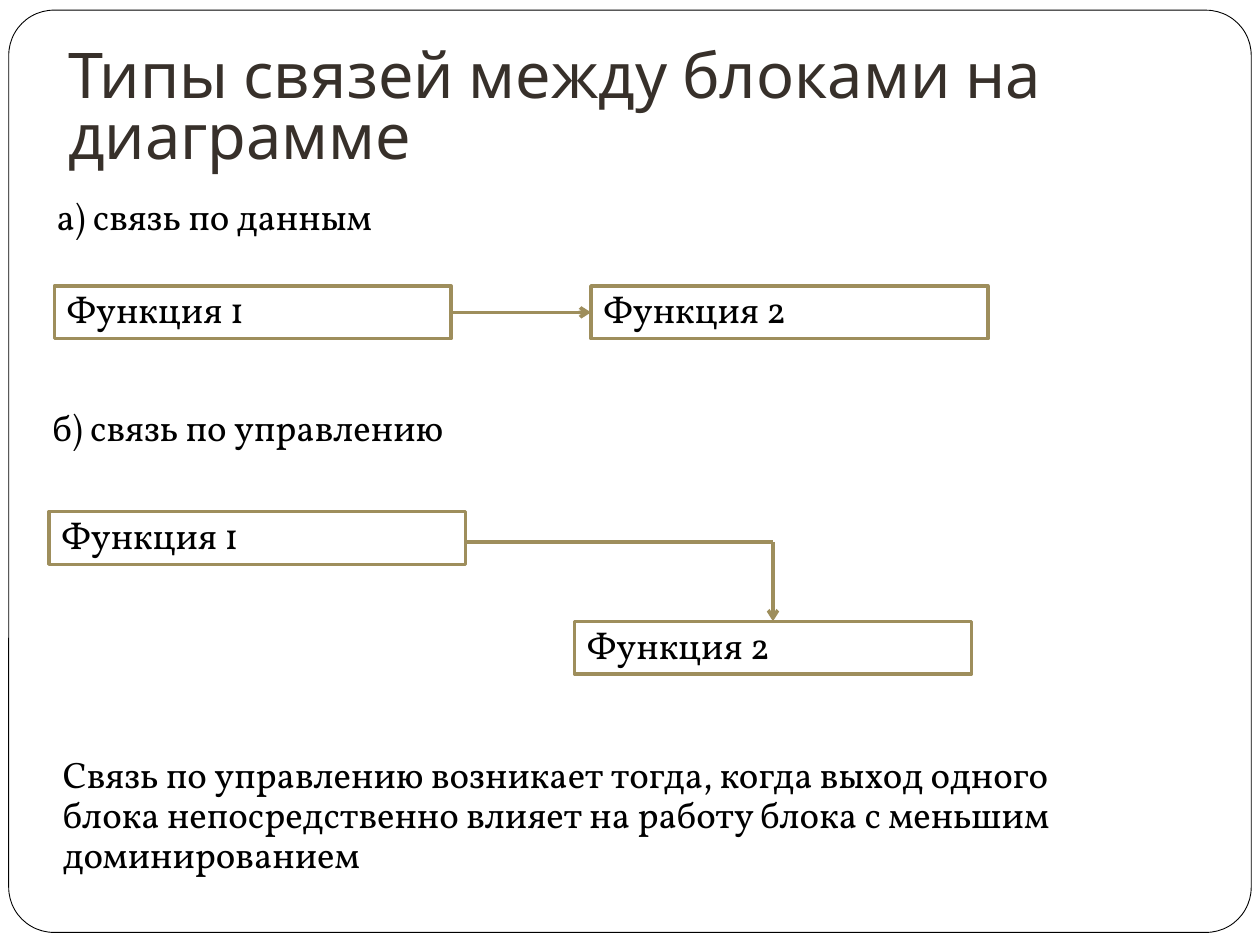
from dataclasses import dataclass

from lxml import etree
from pptx import Presentation
from pptx.dml.color import RGBColor
from pptx.enum.shapes import MSO_CONNECTOR, MSO_SHAPE
from pptx.enum.text import MSO_ANCHOR, PP_ALIGN
from pptx.oxml.ns import qn
from pptx.util import Pt


@dataclass(frozen=True)
class Theme:
    paper: RGBColor = RGBColor(0xFF, 0xFF, 0xFF)
    ink: RGBColor = RGBColor(0, 0, 0)
    title: RGBColor = RGBColor(0x37, 0x30, 0x2A)
    accent: RGBColor = RGBColor(0x9E, 0x8E, 0x5C)
    title_font: str = "Karla"
    body_font: str = "Vollkorn"
    title_size: float = 36
    body_size: float = 21
    stroke: float = 2


THEME = Theme()
ROW = 30.2  # height of a one-line box


def write(shape, text, font, size, color, spacing, anchor=MSO_ANCHOR.TOP):
    frame = shape.text_frame
    frame.word_wrap = True
    frame.vertical_anchor = anchor
    frame.text = text
    paragraph = frame.paragraphs[0]
    paragraph.alignment = PP_ALIGN.LEFT
    paragraph.line_spacing = spacing
    run = paragraph.runs[0].font
    run.name, run.size, run.color.rgb = font, Pt(size), color
    return paragraph


def write_body(shape, text):
    paragraph = write(shape, text, THEME.body_font, THEME.body_size, THEME.ink, 0.9)
    paragraph.space_before = Pt(0.2 * THEME.body_size)


def add_text(slide, box, text):
    write_body(slide.shapes.add_textbox(*map(Pt, box)), text)


def add_block(shapes, box, text):
    block = shapes.add_shape(MSO_SHAPE.RECTANGLE, *map(Pt, box))
    block.shadow.inherit = False
    block.fill.background()
    block.line.color.rgb = THEME.accent
    block.line.width = Pt(THEME.stroke)
    write_body(block, text)


def add_link(shapes, start, end, arrow=True):
    link = shapes.add_connector(MSO_CONNECTOR.STRAIGHT, *map(Pt, start + end))
    link.line.color.rgb = THEME.accent
    link.line.width = Pt(THEME.stroke)
    properties = link._element.spPr
    if arrow:
        etree.SubElement(properties.find(qn("a:ln")), qn("a:tailEnd"), type="arrow")
    etree.SubElement(properties, qn("a:effectLst"))


def add_header(slide, box):
    """Rounded page frame with the title inside it."""
    left, top, width, height = box
    title = slide.shapes.title
    frame = slide.shapes.add_shape(MSO_SHAPE.ROUNDED_RECTANGLE, *map(Pt, box))
    frame.adjustments[0] = 0.049
    frame.shadow.inherit = False
    frame.fill.solid()
    frame.fill.fore_color.rgb = THEME.paper
    frame.line.color.rgb = THEME.ink
    frame.line.width = Pt(0.5)
    title._element.addprevious(frame._element)  # frame lies behind the title

    title.left, title.top = Pt(left + 26.7), Pt(top + 20.2)
    title.width, title.height = Pt(663), Pt(79.2)
    write(title, "Типы связей между блоками на диаграмме", THEME.title_font,
          THEME.title_size, THEME.title, 0.8, MSO_ANCHOR.BOTTOM)
    title.text_frame.margin_bottom = Pt(7.2)


def add_data_link(slide, box):
    """Two blocks side by side, joined by a straight arrow."""
    left, top, width, height = box
    block = 226.8
    second = left + width - block
    middle = top + height / 2
    shapes = slide.shapes.add_group_shape().shapes
    add_block(shapes, (left, top, block, height), "Функция 1")
    add_block(shapes, (second, top, block, height), "Функция 2")
    add_link(shapes, (left + block, middle), (second, middle))


def add_control_link(slide, box):
    """Two stepped blocks, joined by an arrow that enters from above."""
    left, top, width, height = box
    first, second = 238, 226.8
    second_left, second_top = left + width - second, top + height - ROW
    corner = (second_left + second / 2, top + 17.3)
    shapes = slide.shapes.add_group_shape().shapes
    add_block(shapes, (left, top, first, ROW), "Функция 1")
    add_block(shapes, (second_left, second_top, second, ROW), "Функция 2")
    add_link(shapes, (left + first, corner[1]), corner, arrow=False)
    add_link(shapes, corner, (corner[0], second_top))


prs = Presentation()
prs.slide_width, prs.slide_height = Pt(720), Pt(540)
slide = prs.slides.add_slide(prs.slide_layouts[5])

add_header(slide, (5, 5.8, 710, 527))

# Link by data
add_text(slide, (25.2, 110.2, 550, ROW), "а) связь по данным")
add_data_link(slide, (31, 163.4, 533.5, ROW))

# Link by control
add_text(slide, (23, 230.4, 550, ROW), "б) связь по управлению")
add_control_link(slide, (28, 292.3, 527.1, 92.9))

# Explanation
add_text(slide, (28.8, 429.1, 612.7, 76.3),
         "Связь по управлению возникает тогда, когда выход одного блока "
         "непосредственно влияет на работу блока с меньшим доминированием")

prs.save("out.pptx")
